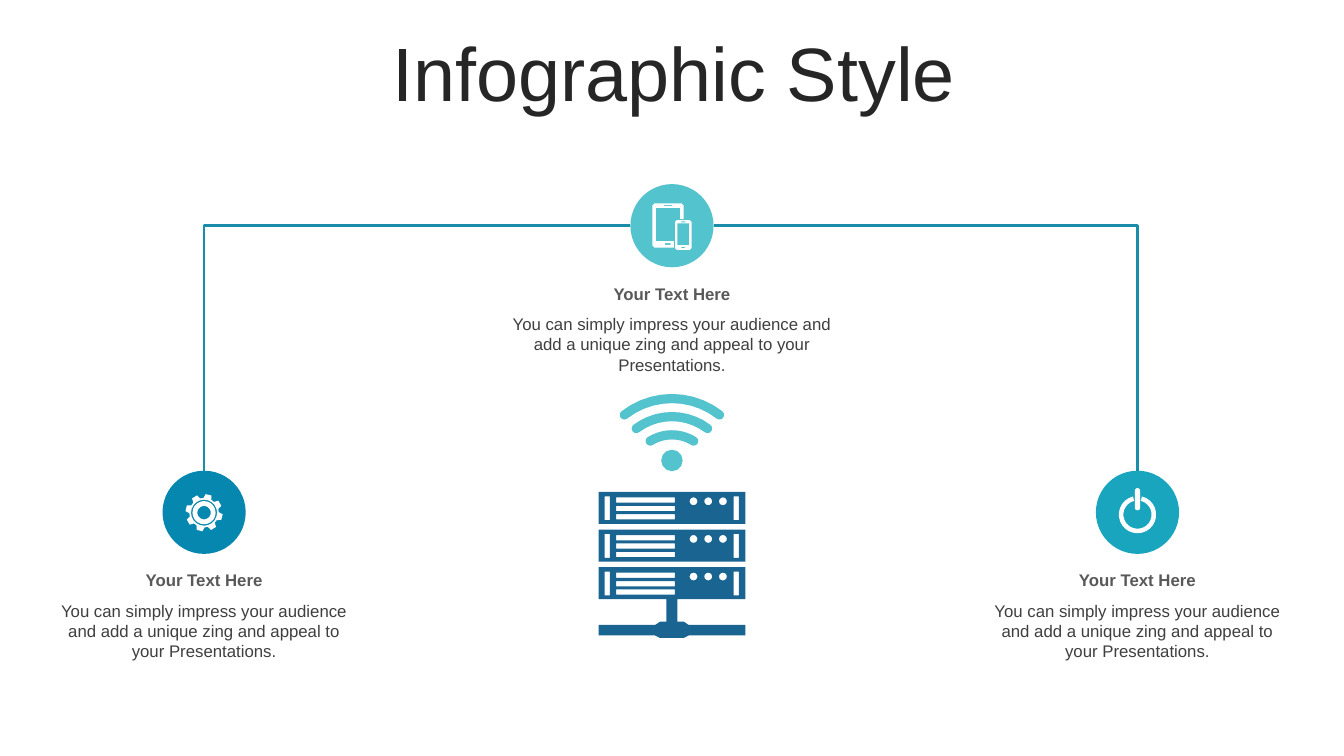
from math import cos, sin, radians
from lxml.etree import SubElement
from pptx import Presentation
from pptx.dml.color import RGBColor
from pptx.enum.shapes import MSO_CONNECTOR, MSO_SHAPE
from pptx.enum.text import MSO_ANCHOR, PP_ALIGN
from pptx.oxml.ns import qn
from pptx.util import Inches, Pt

prs = Presentation()
prs.slide_width, prs.slide_height = Inches(40 / 3), Inches(7.5)
s = prs.slides.add_slide(prs.slide_layouts[6])

# Grid: 160 columns by 90 rows of square cells
U = prs.slide_width / 160
WHITE, SKY, BLUE, TEAL, NAVY = "FFFFFF", "53C3CD", "0587AF", "19A5BE", "196491"
rgb = RGBColor.from_string


def arc(cx, cy, radius, start=0, end=360, steps=12):
    """Points along an arc; a full turn leaves out the repeated last point."""
    count = steps if end - start == 360 else steps + 1
    angles = [radians(start + (end - start) * i / steps) for i in range(count)]
    return [(cx + radius * cos(a), cy + radius * sin(a)) for a in angles]


def box(x, y, w, h, cut=0):
    """Corners of a rectangle, cut off at a slant when cut is given."""
    x2, y2 = x + w, y + h
    if not cut:
        return [(x, y), (x2, y), (x2, y2), (x, y2)]
    return [(x + cut, y), (x2 - cut, y), (x2, y + cut), (x2, y2 - cut),
            (x2 - cut, y2), (x + cut, y2), (x, y2 - cut), (x, y + cut)]


# Gear: toothed rim, groove and hub ring
gx, gy = 24.3, 61.04
teeth = [pt for i in range(8) for da, radius in ((-16, 1.75), (-9, 2.22), (9, 2.22), (16, 1.75))
         for pt in arc(gx, gy, radius, 45 * i - 76 + da, 45 * i - 76 + da, 1)[:1]]
gear = [teeth] + [arc(gx, gy, radius, steps=20) for radius in (1.55, 1.38, 0.8)]

# Power sign: open ring and bar
px, py = 135.42, 61.26
power = [arc(px, py, 2.22, -76, 256, 24) + arc(px, py, 1.68, 256, -76, 24),
         arc(px, 58.42, 0.32, 180, 360, 6) + arc(px, 60.43, 0.32, 0, 180, 6)]

# Tablet and phone
devices = [
    [(77.93, 24.22), (81.15, 24.22), (81.4, 24.47), (81.4, 26.05), (80.98, 26.05),
     (80.98, 24.75), (78.1, 24.75), (78.1, 28.7), (80.22, 28.7), (80.22, 29.48),
     (77.93, 29.48), (77.68, 29.23), (77.68, 24.47)],
    box(79.15, 28.95, 0.7, 0.2), box(79.05, 24.42, 1, 0.12),
    box(80.38, 26.2, 1.95, 3.55, 0.2), box(80.65, 26.6, 1.4, 2.58),
    box(81.1, 26.36, 0.5, 0.1), box(81.13, 29.4, 0.45, 0.14)]

# Wi-Fi: a dot and three round-ended waves about one centre
wx, wy, t = 80, 56.65, 0.55
wifi = [arc(wx, 54.82, 1.28)]
for radius, half in ((9.2, 38), (7.05, 37), (4.88, 32)):
    a0, a1 = -90 - half, -90 + half
    (left,), (right,) = (arc(wx, wy, radius, a, a, 1)[:1] for a in (a0, a1))
    wifi.append(arc(wx, wy, radius + t, a0, a1, 10) + arc(*right, t, a1, a1 + 180, 6)
                + arc(wx, wy, radius - t, a1, a0, 10) + arc(*left, t, a0 + 180, a0 + 360, 6))

# Server: three racks with side strips, vents and lights; the last has the stand
server = []
for rack in range(3):
    y = 58.56 + 4.48 * rack
    if rack < 2:
        server.append(box(71.27, y, 17.46, 3.82))
    for x in (72, 87.35):
        server.append(box(x, y + 0.52, 0.62, 2.85))
    for i in range(3):
        server += [box(73.35, y + 0.66 + i, 7, 0.62),
                   arc(82.57 + 1.75 * i, y + 1.12, 0.47)]
stand = [(88.73, y), (88.73, y + 3.82), (80.65, y + 3.82), (80.65, 74), (81.4, 74),
         (82, 74.4), (88.73, 74.4), (88.73, 75.65), (82, 75.65), (81.4, 75.95)]
server.append(stand + [(160 - x, y) for x, y in reversed(stand)])

# Stations: circle centre, circle top, text width, colour, icon
D = 9.9
stations = [(24.3, 56.04, 37.2, BLUE, gear), (135.42, 56.04, 36.84, TEAL, power),
            (80, 21.92, 41.4, SKY, devices)]
icons = [(icon, WHITE) for *_, icon in stations] + [(wifi, SKY), (server, NAVY)]
body = ("You can simply impress your audience and add a unique zing "
        "and appeal to your Presentations.")
texts = [("Infographic Style", 4.25, 4.44, 151.92, 9.48, {"size": Pt(54)}, "262626")]
for cx, top, w, color, icon in stations:
    texts += [
        ("Your Text Here", cx - w / 2, top + 11.22, w, 3.6,
         {"size": Pt(12), "bold": True}, "595959"),
        (body, cx - w / 2, top + 14.87, w, 9.1, {"size": Pt(12)}, "3F3F3F"),
    ]

# Title, labels and descriptions
for text, x, y, w, h, fmt, color in texts:
    tf = s.shapes.add_textbox(*(round(v * U) for v in (x, y, w, h))).text_frame
    tf.word_wrap = True
    p = tf.paragraphs[0]
    p.alignment = PP_ALIGN.CENTER
    if y < 10:
        tf.vertical_anchor = MSO_ANCHOR.MIDDLE
        p.line_spacing = 0.9
    r = p.add_run()
    r.text = text
    for key, value in {"name": "Arial", **fmt}.items():
        setattr(r.font, key, value)
    r.font.color.rgb = rgb(color)

# Circles, then one outline for each icon
filled = [(s.shapes.add_shape(MSO_SHAPE.OVAL, *(round(v * U) for v in (cx - D / 2, top, D, D))),
           color) for cx, top, w, color, icon in stations]
for contours, color in icons:
    fb = None
    for contour in contours:
        first, *rest = [(round(x * U), round(y * U)) for x, y in contour]
        if fb is None:
            fb = s.shapes.build_freeform(*first, scale=1.0)
        else:
            fb.move_to(*first)
        fb.add_line_segments(rest, close=True)
    filled.append((fb.convert_to_shape(), color))
for sp, color in filled:
    sp.fill.solid()
    sp.fill.fore_color.rgb = rgb(color)
    sp.line.fill.background()
    sp.shadow.inherit = False

# Elbow lines from the top circle to the side circles
for x1, x2 in ((75.05, 24.3), (84.95, 135.42)):
    c = s.shapes.add_connector(MSO_CONNECTOR.ELBOW,
                               *(round(v * U) for v in (x1, 26.87, x2, 56.04)))
    c.line.color.rgb = rgb("1A8EA9")
    c.line.width = Pt(1.75)
    spPr = c._element.spPr
    spPr.find(qn("a:prstGeom")).set("prst", "bentConnector2")
    SubElement(spPr, qn("a:effectLst"))

prs.save("out.pptx")
